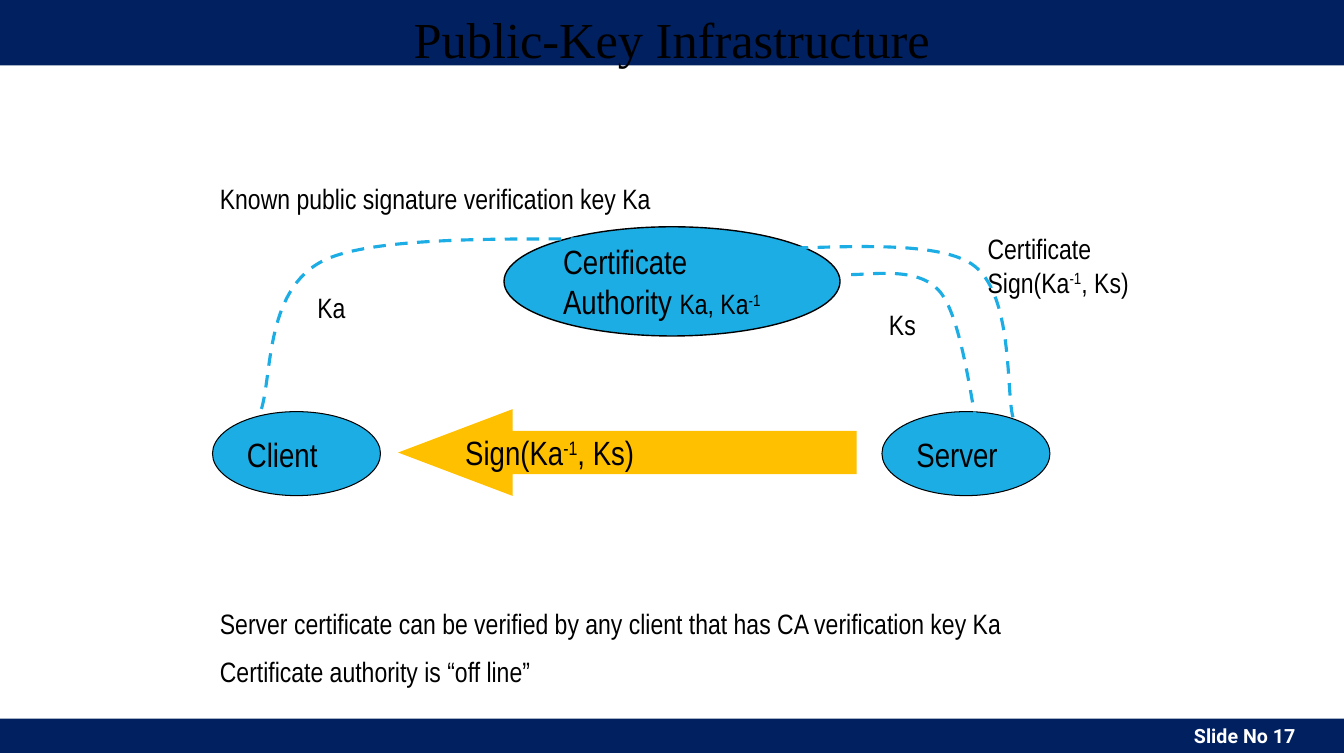
import lxml.etree
import pptx
import pptx.dml.color
import pptx.enum.dml
import pptx.enum.shapes
import pptx.enum.text
import pptx.oxml.ns
import pptx.util

COLUMNS, ROWS = 32, 90
NAVY, BLUE, GOLD, BLACK, WHITE = "002060", "1CADE4", "FFC000", "000000", "FFFFFF"
INVERSE = "-1"
SHAPE = pptx.enum.shapes.MSO_SHAPE
ALIGN = pptx.enum.text.PP_ALIGN
ANCHOR = pptx.enum.text.MSO_ANCHOR


def color(hex_text):
    return pptx.dml.color.RGBColor.from_string(hex_text)


class Page:
    """One slide; all places are given in grid columns and rows."""

    def __init__(self, deck):
        self.font, self.size = "Arial Narrow", 24
        self.column = deck.slide_width / COLUMNS
        self.row = deck.slide_height / ROWS
        self.shapes = deck.slides.add_slide(deck.slide_layouts[6]).shapes

    def place(self, x, y):
        return round(x * self.column), round(y * self.row)

    def label(self, box, paragraphs, size=None, later_size=None, font=None, ink=BLACK,
              bold=False, align=ALIGN.LEFT, anchor=ANCHOR.MIDDLE, gap=0):
        """Fill a box with paragraphs, each a list of runs; INVERSE is raised."""
        size = size or self.size
        frame = box.text_frame
        frame.word_wrap = True
        frame.vertical_anchor = anchor
        for index, parts in enumerate(paragraphs):
            para = frame.add_paragraph() if index else frame.paragraphs[0]
            para.alignment = align
            if index and gap:
                para.space_before = pptx.util.Pt(gap)
            for number, part in enumerate(parts):
                span = para.add_run()
                span.text = part
                span.font.name = font or self.font
                span.font.size = pptx.util.Pt(later_size if number and later_size else size)
                span.font.bold = bold
                span.font.color.rgb = color(ink)
                if part == INVERSE:
                    span._r.get_or_add_rPr().set("baseline", "30000")
        return frame

    def shape(self, kind, x, y, width, height, fill, line=None):
        box = self.shapes.add_shape(kind, *self.place(x, y), *self.place(width, height))
        box.shadow.inherit = False
        box.fill.solid()
        box.fill.fore_color.rgb = color(fill)
        if line:
            box.line.color.rgb = color(BLACK)
            box.line.width = pptx.util.Pt(line)
        else:
            box.line.fill.background()
        return box

    def note(self, x, y, width, height, paragraphs, gap=0):
        box = self.shapes.add_textbox(*self.place(x, y), *self.place(width, height))
        self.label(box, paragraphs, size=20, anchor=ANCHOR.TOP, gap=gap)

    def dashed_curve(self, start, *points):
        """Draw cubic curves; each three points are two controls and an end."""
        builder = self.shapes.build_freeform(*self.place(*start))
        builder.add_line_segments([self.place(*point) for point in points], close=False)
        curve = builder.convert_to_shape()
        segments = list(curve._element.iter(pptx.oxml.ns.qn("a:lnTo")))
        for first in range(0, len(segments), 3):
            bezier = lxml.etree.Element(pptx.oxml.ns.qn("a:cubicBezTo"))
            segments[first].addprevious(bezier)
            for segment in segments[first:first + 3]:
                bezier.append(segment[0])
                segment.getparent().remove(segment)
        curve.shadow.inherit = False
        curve.fill.background()
        curve.line.color.rgb = color(BLUE)
        curve.line.width = pptx.util.Pt(2.25)
        curve.line.dash_style = pptx.enum.dml.MSO_LINE.DASH


def main():
    deck = pptx.Presentation()
    deck.slide_width = pptx.util.Inches(13.33)
    deck.slide_height = pptx.util.Inches(7.5)
    page = Page(deck)

    footer = page.shape(SHAPE.RECTANGLE, 0, 85.56, COLUMNS, 4.08, NAVY)
    frame = page.label(footer, [["Slide No 17"]], size=14, font="Roboto", ink=WHITE,
                       bold=True, align=ALIGN.RIGHT)
    frame.margin_right = pptx.util.Inches(0.48)
    title = page.shape(SHAPE.RECTANGLE, 0, 0, COLUMNS, 7.8, NAVY)
    frame = page.label(title, [["Public-Key Infrastructure"]], size=36,
                       font="Times New Roman", align=ALIGN.CENTER, anchor=ANCHOR.TOP)
    frame.margin_top = pptx.util.Inches(0.08)

    authority = page.shape(SHAPE.OVAL, 12, 27, 8, 13, BLUE, line=1)
    page.label(authority, [["Certificate Authority ", "Ka, Ka", INVERSE]], later_size=20)
    page.dashed_curve((14.93, 28.32), (13.73, 28.8), (9.19, 27.48), (7.73, 30.96),
                      (6.26, 34.44), (6.5, 45.36), (6.19, 49.2))
    for name, x in (("Client", 5.06), ("Server", 21)):
        page.label(page.shape(SHAPE.OVAL, x, 49, 4, 10, BLUE, line=0.75), [[name]])
    page.dashed_curve((24.12, 49.68), (23.95, 46.68), (24.14, 34.8), (23.14, 31.44),
                      (22.13, 28.08), (19.13, 29.88), (18.05, 29.52))

    page.note(5, 21, 13.06, 5.16, [["Known public signature verification key Ka"]])
    signature = ["Sign(Ka", INVERSE, ", Ks)"]
    arrow = page.shape(SHAPE.LEFT_ARROW, 9.48, 48.72, 10.92, 10.32, GOLD)
    arrow.adjustments[0], arrow.adjustments[1] = 0.5, 1.32
    page.label(arrow, [signature])
    page.note(23.28, 27, 4.51, 9.24, [["Certificate"], signature])
    page.dashed_curve((23.35, 53.04), (23.18, 49.92), (22.94, 38.16), (22.39, 34.8),
                      (21.84, 31.32), (20.54, 33), (20.06, 32.64))
    page.note(20.93, 36, 1.46, 5.16, [["Ks"]])
    page.note(5, 71.64, 21, 11.28, [
        ["Server certificate can be verified by any client that has CA verification key Ka"],
        ["Certificate authority is “off line”"]], gap=10)
    page.note(7.32, 33.96, 1.46, 5.16, [["Ka"]])
    deck.save("out.pptx")


if __name__ == "__main__":
    main()
